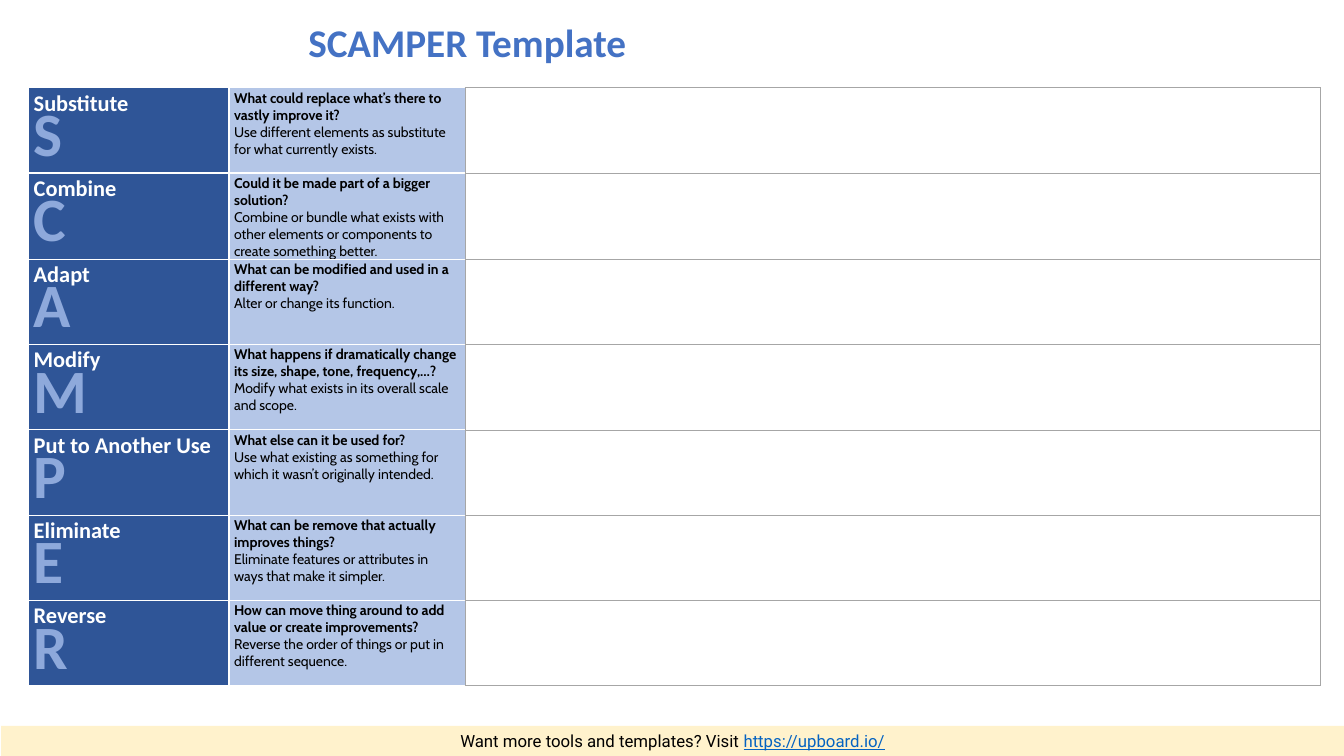
"""Builds the SCAMPER template slide."""
from lxml import etree
from pptx import Presentation
from pptx import util as u
from pptx.dml.color import RGBColor
from pptx.enum import shapes, text
from pptx.oxml import ns

STEPS = [
    ("Substitute", "What could replace what’s there to vastly improve it?",
     "Use different elements as substitute for what currently exists."),
    ("Combine", "Could it be made part of a bigger solution?",
     "Combine or bundle what exists with other elements or components to create something better."),
    ("Adapt", "What can be modified and used in a different way?",
     "Alter or change its function."),
    ("Modify", "What happens if dramatically change its size, shape, tone, frequency,…?",
     "Modify what exists in its overall scale and scope."),
    ("Put to Another Use", "What else can it be used for?",
     "Use what existing as something for which it wasn’t originally intended."),
    ("Eliminate", "What can be remove that actually improves things?",
     "Eliminate features or attributes in ways that make it simpler."),
    ("Reverse", "How can move thing around to add value or create improvements?",
     "Reverse the order of things or put in different sequence."),
]
COLUMN_WIDTHS = (5.05, 5.95, 21.56)
ROW_HEIGHT = 2.15


def rgb(value):
    return RGBColor.from_string(value)


class ScamperSlide:
    heading, body, footer = "Calibri", "Cabin", "Roboto"
    blue, navy, pale, letter = "4472C4", "2F5597", "B4C6E7", "8EA9DB"
    white, black, grey = "FFFFFF", "000000", "A6A6A6"
    cream, link = "FFF2CC", "0563C1"

    def __init__(self, deck):
        self.slide = deck.slides.add_slide(deck.slide_layouts[6])

    def style(self, font, name, size, color, bold=False):
        font.name, font.size, font.bold = name, u.Pt(size), bold
        font.color.rgb = rgb(color)

    def title(self, wording, left, top, width, height):
        frame = self.slide.shapes.add_textbox(
            u.Cm(left), u.Cm(top), u.Cm(width), u.Cm(height)).text_frame
        frame.word_wrap = True
        frame.vertical_anchor = text.MSO_ANCHOR.MIDDLE
        line = frame.paragraphs[0]
        line.text, line.line_spacing = wording, 0.9
        self.style(line.font, self.heading, 28, self.blue, True)

    def banner(self, lead, address, left, top, width, height):
        bar = self.slide.shapes.add_shape(
            shapes.MSO_SHAPE.RECTANGLE, u.Cm(left), u.Cm(top), u.Cm(width), u.Cm(height))
        bar.shadow.inherit = False
        bar.fill.solid()
        bar.fill.fore_color.rgb = rgb(self.cream)
        bar.line.fill.background()
        frame = bar.text_frame
        frame.margin_top = frame.margin_bottom = 0
        frame.vertical_anchor = text.MSO_ANCHOR.MIDDLE
        line = frame.paragraphs[0]
        line.alignment = text.PP_ALIGN.CENTER
        for wording, color in ((lead, self.black), (address, self.link)):
            run = line.add_run()
            run.text = wording
            self.style(run.font, self.footer, 12, color)
            run.font.underline = color == self.link

    def paint(self, cell, fill, borders):
        cell.fill.solid()
        cell.fill.fore_color.rgb = rgb(fill)
        cell.margin_left = cell.margin_right = u.Cm(0.13)
        cell.margin_top, cell.margin_bottom = u.Cm(0.05), 0
        properties = cell._tc.get_or_add_tcPr()
        for place, (side, color) in enumerate(zip("LRTB", borders)):
            width = 0.5 if color == self.grey else 1
            edge = etree.Element(ns.qn(f"a:ln{side}"), w=str(u.Pt(width)))
            solid = etree.SubElement(edge, ns.qn("a:solidFill"))
            etree.SubElement(solid, ns.qn("a:srgbClr"), val=color)
            properties.insert(place, edge)

    def fill_in(self, cell, first, second):
        cell.text = f"{first[0]}\n{second[0]}"
        for line, (_, *look) in zip(cell.text_frame.paragraphs, (first, second)):
            self.style(line.font, *look)

    def grid(self, left, top):
        table = self.slide.shapes.add_table(
            len(STEPS), len(COLUMN_WIDTHS), u.Cm(left), u.Cm(top),
            u.Cm(sum(COLUMN_WIDTHS)), u.Cm(ROW_HEIGHT * len(STEPS))).table
        table.first_row = table.horz_banding = False
        for column, width in zip(table.columns, COLUMN_WIDTHS):
            column.width = u.Cm(width)
        for row, (step, question, hint) in zip(table.rows, STEPS):
            row.height = u.Cm(ROW_HEIGHT)
            name, prompt, notes = row.cells
            self.paint(name, self.navy, [self.white] * 4)
            self.paint(prompt, self.pale, [self.white, self.grey, self.white, self.white])
            self.paint(notes, self.white, [self.grey] * 4)
            self.fill_in(name, (step, self.heading, 16, self.white, True),
                         (step[0], self.heading, 44, self.letter, True))
            name.text_frame.paragraphs[1].line_spacing = u.Pt(40)
            self.fill_in(prompt, (question, self.body, 10, self.black, True),
                         (hint, self.body, 10, self.black))


def main():
    deck = Presentation()
    deck.slide_width, deck.slide_height = u.Cm(33.87), u.Cm(19.05)
    page = ScamperSlide(deck)
    page.banner("Want more tools and templates? Visit ", "https://upboard.io/",
                0.03, 18.29, 33.84, 0.76)
    page.title("SCAMPER Template", 7.52, 0.38, 26.09, 1.52)
    page.grid(0.72, 2.21)
    deck.save("out.pptx")


if __name__ == "__main__":
    main()
